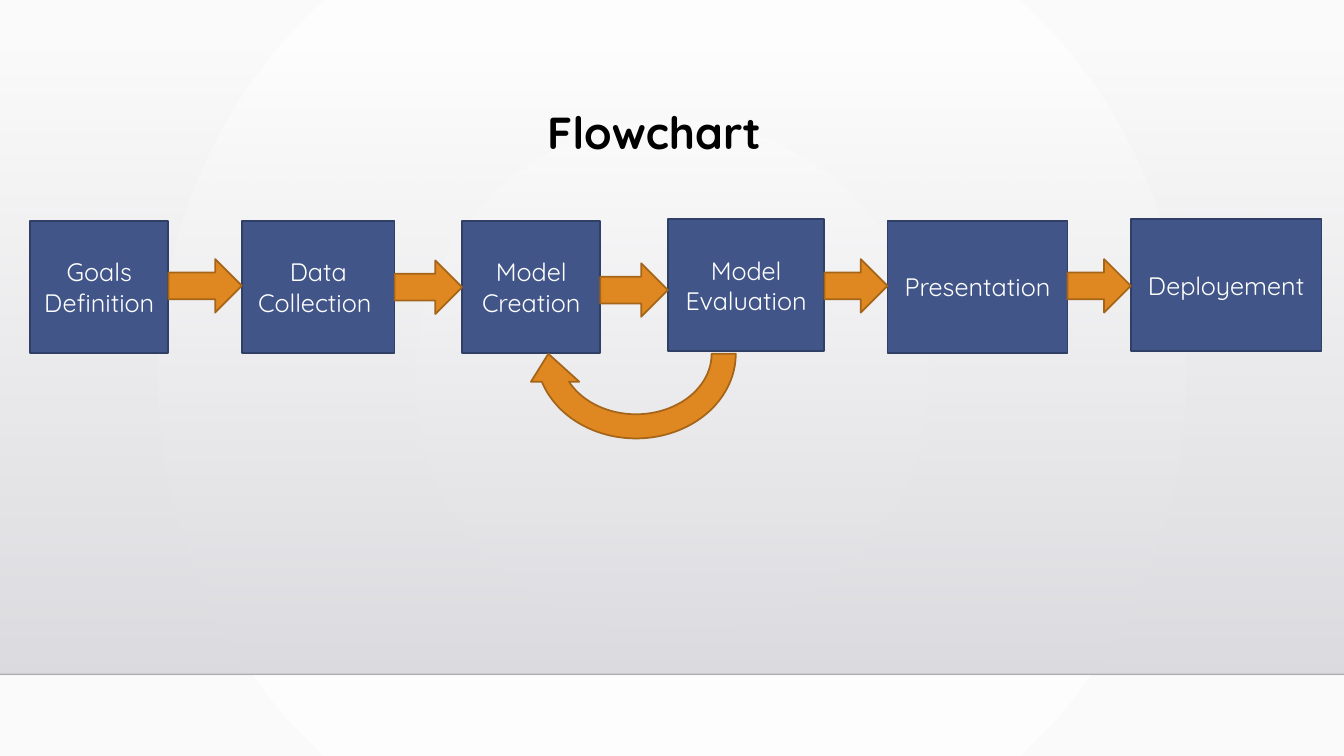
from dataclasses import dataclass
from typing import NamedTuple

from lxml.etree import SubElement
from pptx import Presentation
from pptx.dml.color import RGBColor as RGB
from pptx.enum.shapes import MSO_CONNECTOR as Connector, MSO_SHAPE as Preset
from pptx.enum.text import MSO_ANCHOR as Anchor, PP_ALIGN as Align
from pptx.oxml.ns import qn
from pptx.util import Pt


@dataclass(frozen=True)
class Theme:
    font: str = "Quicksand"
    title_size: float = 32
    stage_size: float = 18
    outline: float = 1.25
    title: str = "000000"
    label: str = "FFFFFF"
    stage: tuple = ("415588", "303F65")
    arrow: tuple = ("DF8822", "A56519")
    backdrop: tuple = ("FFFFFF", "FAFAFA")
    band: tuple = ("DCDCE0", "DEDEE2")
    floor: str = "000001"


class Box(NamedTuple):
    left: float
    top: float
    width: float
    height: float

    def lengths(self):
        return [Pt(value) for value in self]


class Stage(NamedTuple):
    label: str
    left: float
    width: float
    rise: float = 0


THEME = Theme()
PAGE = Box(0, 0, 960, 540)
BAND = Box(0, 36.7, 960, 445)
TITLE = Box(89.3, 74.9, 756, 42.5)
FLOW = Box(21.6, 157.7, 922.4, 164.1)
STAGE_HEIGHT = 94.3
ARROW_HEIGHT = 38.2
STAGES = [
    Stage("Goals Definition", 0, 98.7),
    Stage("Data Collection ", 151.2, 109.1),
    Stage("Model Creation", 308.5, 98.7),
    Stage("Model Evaluation", 455.5, 111.8, 1.2),
    Stage("Presentation", 612.3, 128.6),
    Stage("Deployement", 786.2, 136.1, 1.2),
]
ARROW_DROPS = [27.4, 28.4, 30.4, 27.4, 27.4]
LOOP = Box(352.8, 25.9, 159.8, 138.2)


def blend(fill, colours):
    fill.gradient()
    fill.gradient_angle = 270
    for stop, colour, position in zip(fill.gradient_stops, colours, (0, 1)):
        stop.color.rgb = RGB.from_string(colour)
        stop.position = position


def set_alpha(colour, percent):
    SubElement(colour, qn("a:alpha")).set("val", str(percent * 1000))


def add_block(slide, preset, box, colours):
    block = slide.shapes.add_shape(preset, *box.lengths())
    block.shadow.inherit = False
    fill, outline = colours
    block.fill.solid()
    block.fill.fore_color.rgb = RGB.from_string(fill)
    block.line.color.rgb = RGB.from_string(outline)
    block.line.width = Pt(THEME.outline)
    return block


def write(holder, wording, size, colour, bold=False):
    frame = holder.text_frame
    frame.text = wording
    frame.word_wrap = True
    frame.vertical_anchor = Anchor.MIDDLE
    paragraph = frame.paragraphs[0]
    paragraph.alignment = Align.CENTER
    font = paragraph.runs[0].font
    font.name = THEME.font
    font.size = Pt(size)
    font.bold = bold
    font.color.rgb = RGB.from_string(colour)
    return paragraph


def draw_backdrop(slide, box):
    blend(slide.background.fill, THEME.backdrop)
    direction = slide._element.xpath(".//p:bg//a:lin")[0]
    gradient = direction.getparent()
    gradient.remove(direction)
    circle = SubElement(gradient, qn("a:path"), path="circle")
    SubElement(circle, qn("a:fillToRect"), l="50000", t="50000", r="50000", b="50000")

    band = slide.shapes.add_shape(Preset.RECTANGLE, *box.lengths())
    band.shadow.inherit = False
    band.line.fill.background()
    blend(band.fill, THEME.band)
    set_alpha(band._element.spPr.xpath(".//a:gs/a:srgbClr")[0], 0)

    bottom = Pt(box.top + box.height)
    floor = slide.shapes.add_connector(
        Connector.STRAIGHT, Pt(box.left), bottom, Pt(box.left + box.width), bottom
    )
    floor.line.width = Pt(1)
    floor.line.color.rgb = RGB.from_string(THEME.floor)
    set_alpha(floor._element.spPr.xpath(".//a:ln//a:srgbClr")[0], 20)
    SubElement(floor._element.spPr, qn("a:effectLst"))


def draw_title(slide, box):
    title = slide.shapes.add_textbox(*box.lengths())
    paragraph = write(title, "Flowchart", THEME.title_size, THEME.title, True)
    paragraph.line_spacing = 0.9


def draw_flow(slide, box):
    for stage in STAGES:
        place = Box(box.left + stage.left, box.top - stage.rise, stage.width, STAGE_HEIGHT)
        block = add_block(slide, Preset.RECTANGLE, place, THEME.stage)
        write(block, stage.label, THEME.stage_size, THEME.label)

    for before, after, drop in zip(STAGES, STAGES[1:], ARROW_DROPS):
        start = before.left + before.width
        place = Box(box.left + start, box.top + drop, after.left - start, ARROW_HEIGHT)
        add_block(slide, Preset.RIGHT_ARROW, place, THEME.arrow)

    place = LOOP._replace(left=box.left + LOOP.left, top=box.top + LOOP.top)
    loop = add_block(slide, Preset.CIRCULAR_ARROW, place, THEME.arrow)
    loop.rotation = 180


def main():
    deck = Presentation()
    deck.slide_width, deck.slide_height = Pt(PAGE.width), Pt(PAGE.height)
    slide = deck.slides.add_slide(deck.slide_layouts[6])
    draw_backdrop(slide, BAND)
    draw_title(slide, TITLE)
    draw_flow(slide, FLOW)
    deck.save("out.pptx")


if __name__ == "__main__":
    main()
